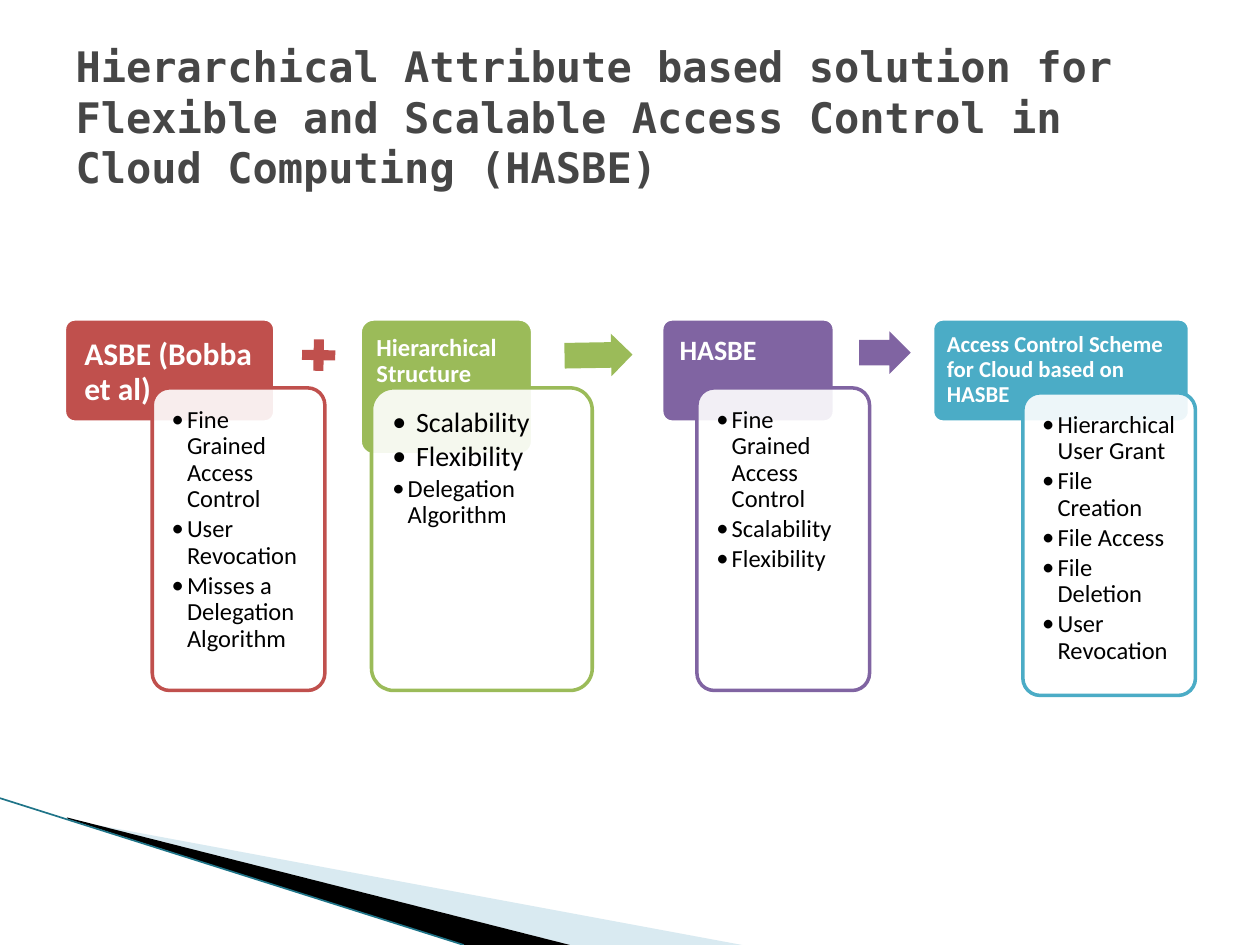
from lxml import etree
from pptx import Presentation
from pptx.dml.color import RGBColor
from pptx.enum.shapes import MSO_CONNECTOR, MSO_SHAPE
from pptx.enum.text import MSO_ANCHOR, PP_ALIGN
from pptx.oxml.ns import qn
from pptx.util import Cm, Pt

STRAIGHT = MSO_CONNECTOR.STRAIGHT
ROUNDED, PLUS, ARROW = (MSO_SHAPE.ROUNDED_RECTANGLE, MSO_SHAPE.MATH_PLUS,
                        MSO_SHAPE.RIGHT_ARROW)
TOP, MIDDLE, LEFT = MSO_ANCHOR.TOP, MSO_ANCHOR.MIDDLE, PP_ALIGN.LEFT

RED = RGBColor(0xC0, 0x50, 0x4D)
GREEN = RGBColor(0x9B, 0xBB, 0x59)
PURPLE = RGBColor(0x80, 0x64, 0xA2)
TEAL = RGBColor(0x4B, 0xAC, 0xC6)
WHITE = RGBColor(0xFF, 0xFF, 0xFF)
BLACK = RGBColor(0, 0, 0)
GREY = RGBColor(0x46, 0x46, 0x46)
PALE_BLUE = RGBColor(0xA0, 0xCB, 0xDC)
DARK_TEAL = RGBColor(0x1F, 0x74, 0x88)

# Content: all lengths in centimetres, text sizes in points
TITLE = ("Hierarchical Attribute based solution for Flexible and Scalable "
         "Access Control in Cloud Computing (HASBE)")
STAGES = [
    {"color": RED, "heading": "ASBE (Bobba et al)", "size": 18, "inset": 0.34,
     "header": (1.3, 4.24, 2.08), "card": (3.07, 7.82, 3.48),
     "items": [("Fine Grained Access Control", 14), ("User Revocation", 14),
               ("Misses a Delegation Algorithm", 14)]},
    {"color": GREEN, "heading": "Hierarchical Structure", "size": 14, "inset": 0.25,
     "header": (7.26, 3.48, 2.74), "card": (7.49, 7.82, 4.45),
     "items": [("Scalability", 16), ("Flexibility", 16),
               ("Delegation Algorithm", 14)]},
    {"color": PURPLE, "heading": "HASBE", "size": 16, "inset": 0.3,
     "header": (13.34, 3.48, 2.08), "card": (14.05, 7.82, 3.48),
     "items": [("Fine Grained Access Control", 14), ("Scalability", 14),
               ("Flexibility", 14)]},
    {"color": TEAL, "heading": "Access Control Scheme for Cloud based on HASBE",
     "size": 13, "inset": 0.23,
     "header": (18.8, 5.18, 2.08), "card": (20.62, 7.92, 3.48),
     "items": [("Hierarchical User Grant", 14), ("File Creation", 14),
               ("File Access", 14), ("File Deletion", 14),
               ("User Revocation", 14)]},
]
# Signs between stages: kind, colour, left, top, width, height, rotation
SIGNS = [
    (PLUS, RED, 5.97, 6.73, 0.91, 0.86, 1.1),
    (ARROW, GREEN, 11.38, 6.73, 1.37, 0.86, 359),
    (ARROW, PURPLE, 17.32, 6.68, 1.04, 0.86, 0),
]
# Corner wedges: colour, opacity in percent, corner points
WEDGES = [
    (PALE_BLUE, 40, [(1.4, 16.53), (14.96, 19.05), (11.49, 19.05), (1.4, 16.5)]),
    (BLACK, 100, [(1.35, 16.48), (11.49, 19.05), (9.33, 19.05), (1.37, 16.51)]),
]
HEADER_TOP, CARD_HEIGHT, CARD_INSET = 6.43, 6.1, 0.29

presentation = Presentation()
presentation.slide_width, presentation.slide_height = Cm(25.4), Cm(19.05)
slide = presentation.slides.add_slide(presentation.slide_layouts[5])
shapes = slide.shapes


def paint(shape, fill, line=None, opacity=100):
    shape.shadow.inherit = False
    shape.fill.solid()
    shape.fill.fore_color.rgb = fill
    if opacity < 100:
        color = shape.fill._xPr.find(qn("a:solidFill"))[0]
        etree.SubElement(color, qn("a:alpha"), val=str(opacity * 1000))
    if line is None:
        shape.line.fill.background()
    else:
        shape.line.color.rgb = line
        shape.line.width = Pt(2)


def add_box(left, top, width, height, inset, fill, line, opacity=100):
    box = shapes.add_shape(ROUNDED, Cm(left), Cm(top), Cm(width), Cm(height))
    box.adjustments[0] = 0.1
    paint(box, fill, line, opacity)
    frame = box.text_frame
    frame.word_wrap = True
    frame.vertical_anchor = TOP
    frame.margin_left = frame.margin_right = frame.margin_top = Cm(inset)
    frame.margin_bottom = Cm(inset / 2)
    return frame


def style(paragraph, size, color, font="Calibri", bold=False):
    paragraph.alignment = LEFT
    for run in paragraph.runs:
        run.font.name = font
        run.font.size = Pt(size)
        run.font.bold = bold
        run.font.color.rgb = color


def add_bullet(paragraph, indent):
    properties = paragraph._p.get_or_add_pPr()
    properties.set("marL", str(Cm(indent)))
    properties.set("indent", str(-Cm(indent)))
    etree.SubElement(properties, qn("a:buFont"), typeface="Calibri")
    etree.SubElement(properties, qn("a:buChar"), char="•")


# Corner decoration
for color, opacity, points in WEDGES:
    corners = [(Cm(x), Cm(y)) for x, y in points]
    builder = shapes.build_freeform(*corners[0], scale=1.0)
    builder.add_line_segments(corners[1:], close=True)
    paint(builder.convert_to_shape(), color, opacity=opacity)
edge = shapes.add_connector(STRAIGHT, Cm(0), Cm(16.09), Cm(9.35), Cm(19.05))
edge.line.color.rgb = DARK_TEAL
edge.line.width = Pt(0.95)
etree.SubElement(edge._element.spPr, qn("a:effectLst"))

# Title
title = shapes.title
title.left, title.top, title.width, title.height = Cm(1.27), Cm(0.76), Cm(22.86), Cm(3.18)
title.text_frame.text = TITLE
title.text_frame.word_wrap = True
title.text_frame.vertical_anchor = MIDDLE
style(title.text_frame.paragraphs[0], 24, GREY, "DejaVu Sans Mono", True)

# Stages: a coloured header with a list card over it
for stage in STAGES:
    left, width, height = stage["header"]
    frame = add_box(left, HEADER_TOP, width, height, stage["inset"],
                    stage["color"], WHITE)
    frame.text = stage["heading"]
    heading = frame.paragraphs[0]
    heading.line_spacing = 0.9
    style(heading, stage["size"], WHITE, bold=True)

    left, top, width = stage["card"]
    frame = add_box(left, top, width, CARD_HEIGHT, CARD_INSET, WHITE,
                    stage["color"], opacity=90)
    frame.text = "\n".join(text for text, size in stage["items"])
    for paragraph, (text, size) in zip(frame.paragraphs, stage["items"]):
        paragraph.line_spacing = 0.9
        paragraph.space_after = Pt(2)
        style(paragraph, size, BLACK)
        add_bullet(paragraph, 0.48 if size > 14 else 0.31)

# Signs between the stages
for kind, color, left, top, width, height, rotation in SIGNS:
    sign = shapes.add_shape(kind, Cm(left), Cm(top), Cm(width), Cm(height))
    sign.rotation = rotation
    if kind == ARROW:
        sign.adjustments[0], sign.adjustments[1] = 0.6, 0.5
    paint(sign, color)

presentation.save("out.pptx")
